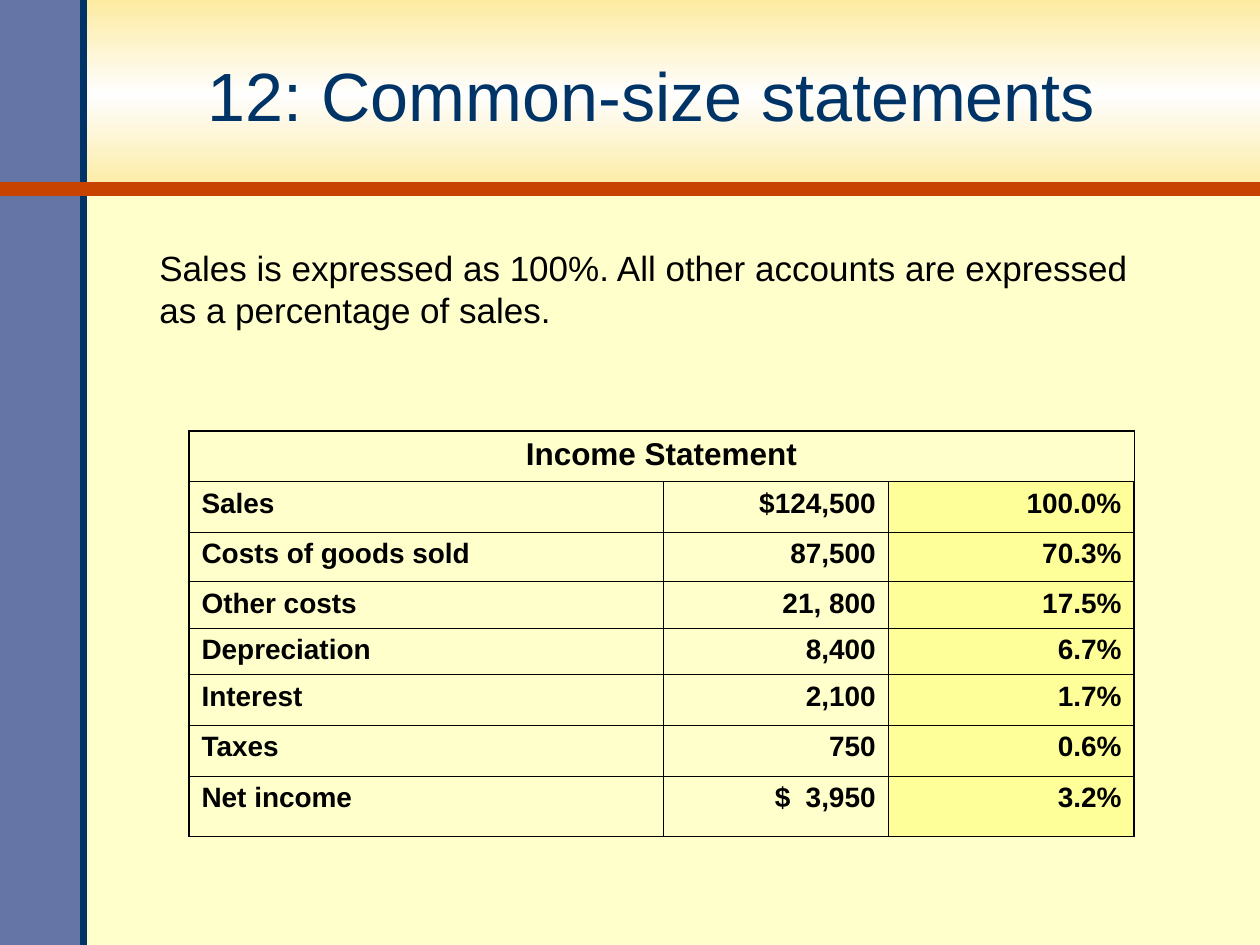
from copy import deepcopy

from lxml import etree
from pptx import Presentation
from pptx.dml.color import RGBColor
from pptx.enum.shapes import MSO_CONNECTOR, MSO_SHAPE
from pptx.enum.text import MSO_ANCHOR, MSO_AUTO_SIZE, PP_ALIGN
from pptx.oxml.ns import qn
from pptx.util import Pt

LEFT, CENTER, RIGHT = PP_ALIGN.LEFT, PP_ALIGN.CENTER, PP_ALIGN.RIGHT
TOP, MIDDLE = MSO_ANCHOR.TOP, MSO_ANCHOR.MIDDLE
RECTANGLE, STRAIGHT = MSO_SHAPE.RECTANGLE, MSO_CONNECTOR.STRAIGHT
NO_AUTOFIT = MSO_AUTO_SIZE.NONE

WIDTH, HEIGHT = 720, 540
BANNER_HEIGHT, SIDEBAR_WIDTH = 108, 48
OUTER_LINE, INNER_LINE = 1.08, 0.45

COLORS = {
    "page": "FFFFCC",
    "banner_edge": "FDEBA1",
    "banner_middle": "FEFEFE",
    "sidebar": "6475A6",
    "navy": "003366",
    "rust": "C84300",
    "text": "000000",
    "highlight": "FFFF99",
}

HEADING = "Income Statement"
ACCOUNTS = [
    ("Sales", "$124,500", "100.0%"),
    ("Costs of goods sold", "87,500", "70.3%"),
    ("Other costs", "21, 800", "17.5%"),
    ("Depreciation", "8,400", "6.7%"),
    ("Interest", "2,100", "1.7%"),
    ("Taxes", "750", "0.6%"),
    ("Net income", "$  3,950", "3.2%"),
]
COLUMN_WIDTHS = [270.8, 128.8, 140.4]
ROW_HEIGHTS = [29, 28.8, 28.4, 26.6, 26.6, 29, 29, 34.4]


def rgb(name):
    return RGBColor.from_string(COLORS[name])


class StatementSlide:
    """Holds the style and the current slide, and draws each kind of element."""

    font_name = "Arial"

    def __init__(self, deck):
        self.slide = deck.slides.add_slide(deck.slide_layouts[5])
        self.shapes = self.slide.shapes
        background = self.slide.background.fill
        background.solid()
        background.fore_color.rgb = rgb("page")

    def set_text(self, frame, text, size, color="text", align=LEFT, bold=False):
        paragraph = frame.paragraphs[0]
        paragraph.text = text
        paragraph.alignment = align
        formats = {"name": self.font_name, "size": Pt(size), "bold": bold}
        for attribute, value in formats.items():
            setattr(paragraph.font, attribute, value)
        paragraph.font.color.rgb = rgb(color)

    def frame(self, box, text, size, anchor=TOP, **style):
        formats = {"word_wrap": True, "auto_size": NO_AUTOFIT, "vertical_anchor": anchor}
        for attribute, value in formats.items():
            setattr(box.text_frame, attribute, value)
        self.set_text(box.text_frame, text, size, **style)

    def band(self, left, top, width, height, color):
        band = self.shapes.add_shape(RECTANGLE, Pt(left), Pt(top), Pt(width), Pt(height))
        band.shadow.inherit = False
        band.line.fill.background()
        band.fill.solid()
        band.fill.fore_color.rgb = rgb(color)
        return band

    def gradient_band(self, left, top, width, height, edge, middle):
        band = self.band(left, top, width, height, edge)
        band.fill.gradient()
        band.fill.gradient_angle = 90
        for stop, color, position in zip(band.fill.gradient_stops, (edge, middle), (0, 0.5)):
            stop.color.rgb = rgb(color)
            stop.position = position
        stop_list = band._element.spPr.find(f".//{qn('a:gsLst')}")
        last_stop = deepcopy(stop_list[0])
        last_stop.set("pos", "100000")
        stop_list.append(last_stop)

    def rule(self, start, end, color, weight):
        rule = self.shapes.add_connector(STRAIGHT, *map(Pt, start + end))
        rule.line.color.rgb = rgb(color)
        rule.line.width = Pt(weight)
        etree.SubElement(rule._element.spPr, qn("a:effectLst"))

    def title(self, left, top, width, height, text, size):
        title = self.shapes.title
        title.left, title.top, title.width, title.height = map(Pt, (left, top, width, height))
        self.shapes._spTree.append(title._element)
        self.frame(title, text, size, anchor=MIDDLE, color="navy", align=CENTER)

    def text(self, left, top, width, height, text, size):
        box = self.shapes.add_textbox(Pt(left), Pt(top), Pt(width), Pt(height))
        self.frame(box, text, size)

    def borders(self, cell, weights):
        properties = cell._tc.get_or_add_tcPr()
        for side, weight in zip(("lnL", "lnR", "lnT", "lnB"), weights):
            line = etree.SubElement(properties, qn(f"a:{side}"), w=str(int(Pt(weight))))
            fill = etree.SubElement(line, qn("a:solidFill"))
            etree.SubElement(fill, qn("a:srgbClr"), val=COLORS["text"])

    def table(self, left, top, widths, heights, heading, records):
        last_row, last_column = len(heights) - 1, len(widths) - 1
        table = self.shapes.add_table(
            len(heights), len(widths), Pt(left), Pt(top), Pt(sum(widths)), Pt(sum(heights))
        ).table
        table.first_row = table.horz_banding = False
        for column, width in zip(table.columns, widths):
            column.width = Pt(width)
        for row, height in zip(table.rows, heights):
            row.height = Pt(height)
        table.cell(0, 0).merge(table.cell(0, last_column))
        self.set_text(table.cell(0, 0).text_frame, heading, 18, align=CENTER, bold=True)
        for r in range(len(heights)):
            for c in range(len(widths)):
                cell = table.cell(r, c)
                on_edge = (c == 0, c == last_column, r == 0, r == last_row)
                self.borders(cell, [OUTER_LINE if edge else INNER_LINE for edge in on_edge])
                if r and c == last_column:
                    cell.fill.solid()
                    cell.fill.fore_color.rgb = rgb("highlight")
                else:
                    cell.fill.background()
                if r:
                    align = RIGHT if c else LEFT
                    self.set_text(cell.text_frame, records[r - 1][c], 16, align=align, bold=True)


def main():
    deck = Presentation()
    deck.slide_width, deck.slide_height = Pt(WIDTH), Pt(HEIGHT)
    page = StatementSlide(deck)
    page.gradient_band(0, 0, WIDTH, BANNER_HEIGHT, "banner_edge", "banner_middle")
    page.band(0, 0, SIDEBAR_WIDTH, HEIGHT, "sidebar")
    page.rule((SIDEBAR_WIDTH, HEIGHT), (SIDEBAR_WIDTH, 0), "navy", 4)
    page.rule((0, BANNER_HEIGHT), (WIDTH, BANNER_HEIGHT), "rust", 8)
    page.title(46.8, 10.8, 651, 86.4, "12: Common-size statements", 39)
    page.table(108, 246.2, COLUMN_WIDTHS, ROW_HEIGHTS, HEADING, ACCOUNTS)
    page.text(
        84, 137.5, 570, 55,
        "Sales is expressed as 100%. All other accounts are expressed "
        "as a percentage of sales.",
        20,
    )
    deck.save("out.pptx")


if __name__ == "__main__":
    main()
